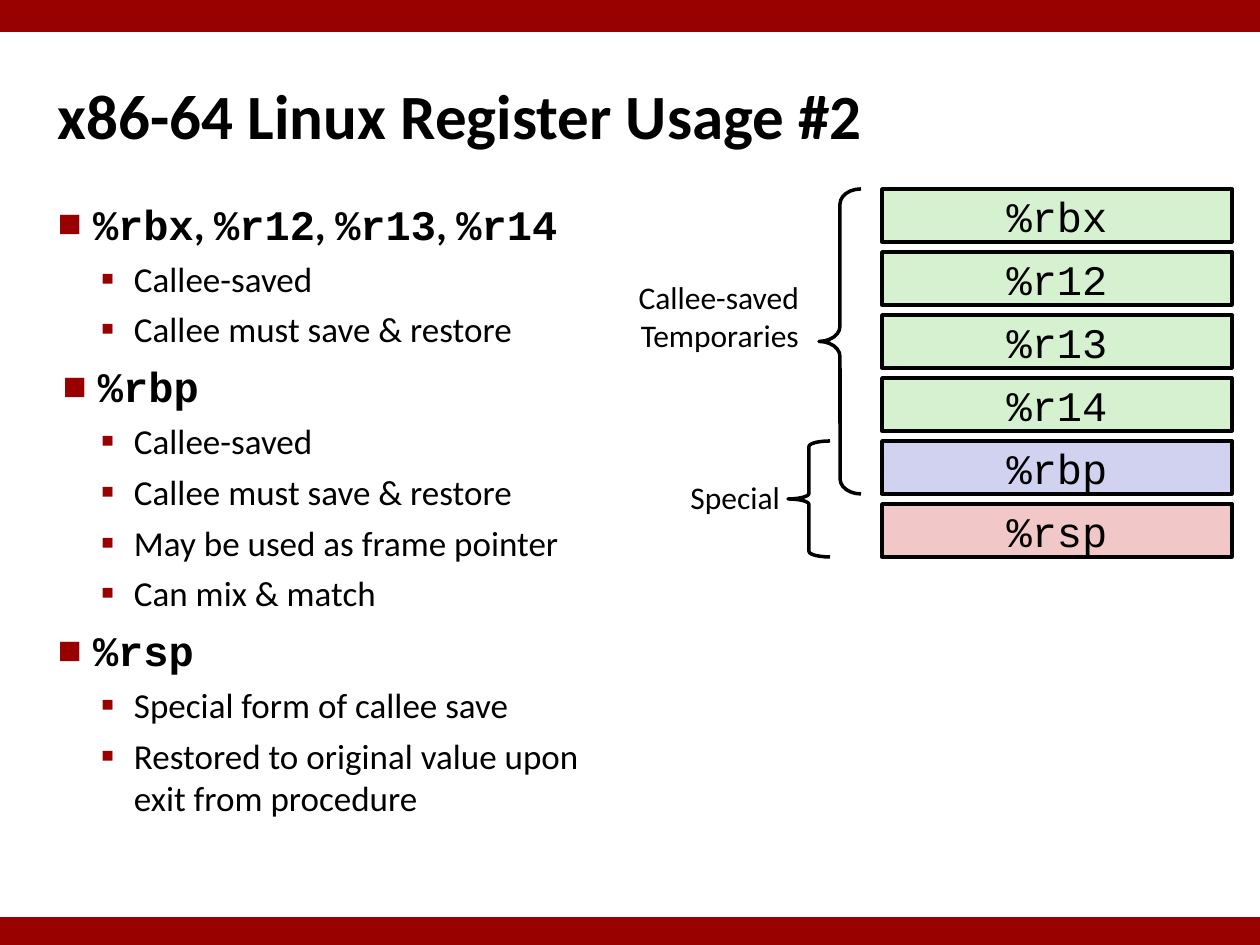
from dataclasses import dataclass

from lxml.etree import SubElement
from pptx import Presentation
from pptx.dml.color import RGBColor
from pptx.enum.shapes import MSO_SHAPE
from pptx.enum.text import MSO_ANCHOR, MSO_AUTO_SIZE, PP_ALIGN
from pptx.oxml.ns import qn
from pptx.util import Pt

SCALE = 914400 / 126  # EMU per px


@dataclass(frozen=True)
class Theme:
    sans: str = "Calibri"
    mono: str = "Courier New"
    black: str = "000000"
    accent: str = "990000"
    title_size: int = 36
    register_size: int = 24
    detail_size: int = 20
    label_size: int = 18
    outline: int = 2


THEME = Theme()
GREEN, BLUE, PINK = "D5F1CF", "D1D1F0", "F1C7C7"

TITLE = "x86-64 Linux Register Usage #2"

# (registers, left margin in px, details)
USAGE = [
    (["%rbx", "%r12", "%r13", "%r14"], 35,
     ["Callee-saved", "Callee must save & restore"]),
    (["%rbp"], 40,
     ["Callee-saved", "Callee must save & restore",
      "May be used as frame pointer", "Can mix & match"]),
    (["%rsp"], 35,
     ["Special form of callee save",
      "Restored to original value upon exit from procedure"]),
]

REGISTERS = [("%rbx", GREEN), ("%r12", GREEN), ("%r13", GREEN),
             ("%r14", GREEN), ("%rbp", BLUE), ("%rsp", PINK)]

# (label lines, label box, first row, last row, brace left, brace curvature)
GROUPS = [
    (["Callee-saved", "Temporaries"], (630, 273, 174, 87), 0, 4, 819, 0.36),
    (["Special"], (680, 473, 105, 49), 4, 5, 788, 0.13),
]

SLIDE_W, SLIDE_H = 1260, 945
BARS = [(-1, 0, 1262, 32), (-1, 917, 1262, 32)]
TITLE_BOX = (53, 35, 829, 158)
BODY_BOX = (53, 193, 559, 606)
INSET = 5
ROW_LEFT, ROW_TOP, ROW_W, ROW_H, ROW_PITCH = 882, 189, 350, 53, 63
BRACE_W = 42


def px(length):
    return round(length * SCALE)


def place(shape, box):
    shape.left, shape.top, shape.width, shape.height = map(px, box)


def set_frame(frame, inset, anchor, wrap=True):
    frame.margin_left = frame.margin_right = px(inset)
    frame.margin_top = frame.margin_bottom = px(inset)
    frame.vertical_anchor = anchor
    frame.word_wrap = wrap
    frame.auto_size = MSO_AUTO_SIZE.NONE


def style(font, size, face, bold=False):
    font.size, font.name, font.bold = Pt(size), face, bold
    font.color.rgb = RGBColor.from_string(THEME.black)


def add_preset(slide, kind, box, fill=None, line=None):
    shape = slide.shapes.add_shape(kind, *map(px, box))
    shape.shadow.inherit = False
    if fill:
        shape.fill.solid()
        shape.fill.fore_color.rgb = RGBColor.from_string(fill)
    else:
        shape.fill.background()
    if line:
        shape.line.color.rgb = RGBColor.from_string(line)
        shape.line.width = Pt(THEME.outline)
    else:
        shape.line.fill.background()
    return shape


def set_bullet(paragraph, char, percent, margin, hanging):
    props = paragraph._p.get_or_add_pPr()
    props.set("marL", str(px(margin)))
    props.set("indent", str(-px(hanging)))
    color = SubElement(props, qn("a:buClr"))
    SubElement(color, qn("a:srgbClr"), val=THEME.accent)
    SubElement(props, qn("a:buSzPct"), val=str(percent * 1000))
    SubElement(props, qn("a:buFont"), typeface=THEME.sans)
    SubElement(props, qn("a:buChar"), char=char)


def add_title(slide):
    title = slide.shapes.title
    place(title, TITLE_BOX)
    set_frame(title.text_frame, INSET, MSO_ANCHOR.MIDDLE)
    title.text_frame.text = TITLE
    heading = title.text_frame.paragraphs[0]
    heading.alignment = PP_ALIGN.LEFT
    style(heading.runs[0].font, THEME.title_size, THEME.sans, True)


def add_usage(slide):
    body = slide.placeholders[1]
    place(body, BODY_BOX)
    frame = body.text_frame
    set_frame(frame, INSET, MSO_ANCHOR.TOP)
    for group, (registers, margin, details) in enumerate(USAGE):
        heading = frame.add_paragraph() if group else frame.paragraphs[0]
        set_bullet(heading, "■", 60, margin, 35)
        heading.space_before = Pt(6 if group else 0)
        for i, register in enumerate(registers):
            if i:
                comma = heading.add_run()
                comma.text = ", "
                style(comma.font, THEME.register_size, THEME.sans, True)
            name = heading.add_run()
            name.text = register
            style(name.font, THEME.register_size, THEME.mono, True)
        for text in details:
            detail = frame.add_paragraph()
            detail.text = text
            detail.level = 1
            set_bullet(detail, "▪", 110, 76, 33)
            detail.space_before = Pt(5)
            style(detail.runs[0].font, THEME.detail_size, THEME.sans)


def add_registers(slide):
    for row, (register, fill) in enumerate(REGISTERS):
        box = (ROW_LEFT, ROW_TOP + row * ROW_PITCH, ROW_W, ROW_H)
        cell = add_preset(slide, MSO_SHAPE.RECTANGLE, box, fill, THEME.black)
        set_frame(cell.text_frame, 0, MSO_ANCHOR.MIDDLE)
        cell.text_frame.text = register
        name = cell.text_frame.paragraphs[0]
        name.alignment = PP_ALIGN.CENTER
        style(name.runs[0].font, THEME.register_size, THEME.mono)


def add_groups(slide):
    for lines, label_box, first, last, left, curvature in GROUPS:
        height = (last - first) * ROW_PITCH + ROW_H
        box = (left, ROW_TOP + first * ROW_PITCH, BRACE_W, height)
        brace = add_preset(slide, MSO_SHAPE.LEFT_BRACE, box, line=THEME.black)
        brace.adjustments[0] = curvature

        label = slide.shapes.add_textbox(*map(px, label_box))
        set_frame(label.text_frame, INSET, MSO_ANCHOR.TOP, wrap=False)
        label.text_frame.text = "\n".join(lines)
        for line in label.text_frame.paragraphs:
            line.alignment = PP_ALIGN.RIGHT
            style(line.runs[0].font, THEME.label_size, THEME.sans)


def main():
    deck = Presentation()
    deck.slide_width, deck.slide_height = px(SLIDE_W), px(SLIDE_H)
    slide = deck.slides.add_slide(deck.slide_layouts[1])
    for bar in BARS:
        add_preset(slide, MSO_SHAPE.RECTANGLE, bar, THEME.accent)
    add_title(slide)
    add_usage(slide)
    add_registers(slide)
    add_groups(slide)
    deck.save("out.pptx")


if __name__ == "__main__":
    main()
